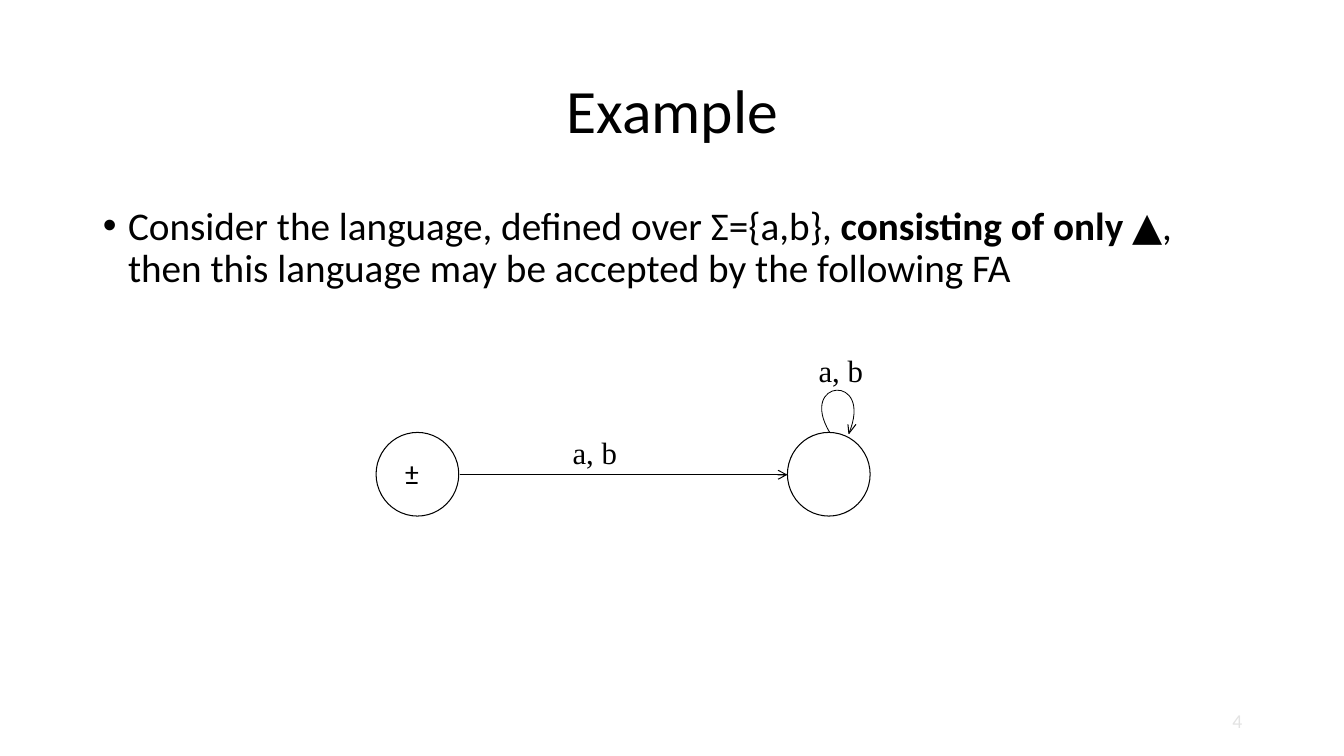
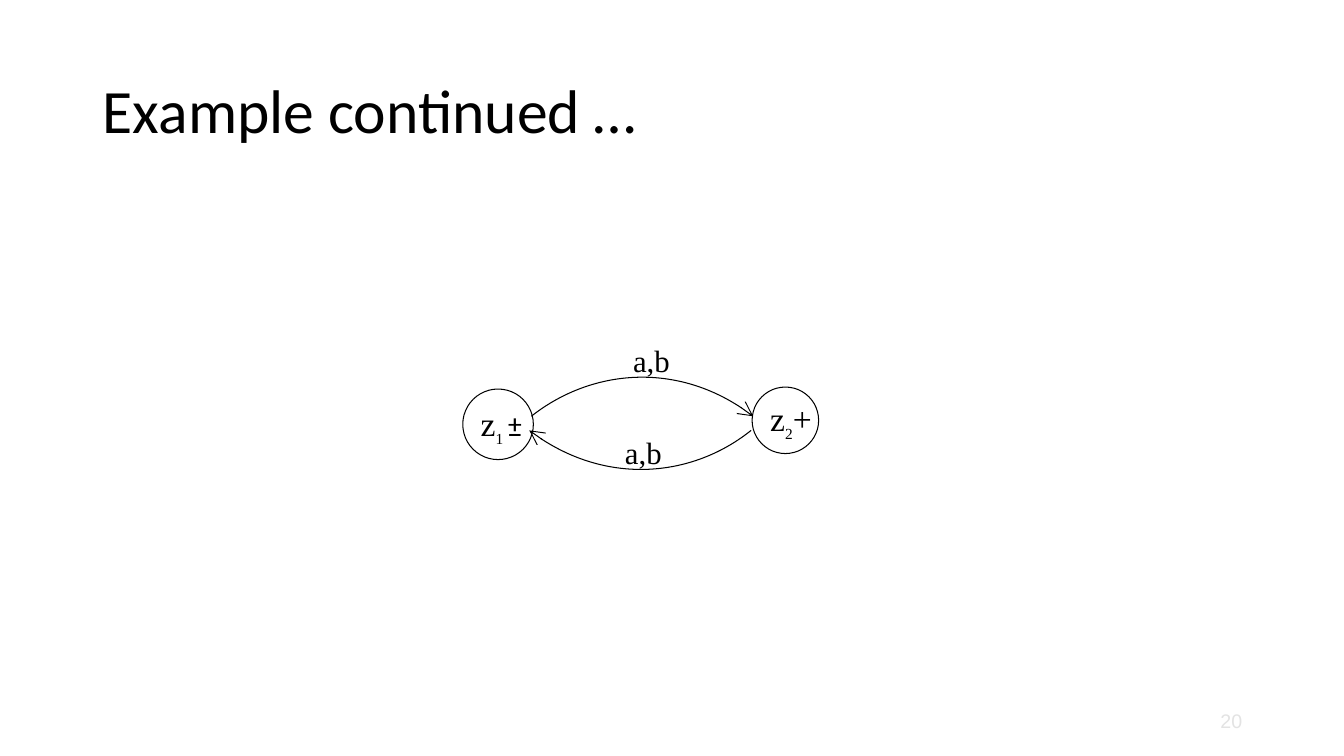
"""Build two slides showing finite automata as state diagrams."""
import dataclasses

import pptx
import pptx.dml.color
import pptx.enum.shapes
import pptx.enum.text
import pptx.oxml.ns
import pptx.oxml.xmlchemy
import pptx.util

PX = 9144
ALIGN = pptx.enum.text.PP_ALIGN
ANCHOR = pptx.enum.text.MSO_ANCHOR


@dataclasses.dataclass(frozen=True)
class Theme:
    ink: str = "000000"
    paper: str = "FFFFFF"
    faint: str = "E3E3E3"
    text_font: str = "Calibri"
    label_font: str = "Times New Roman"
    sign_font: str = "Karla"
    number_font: str = "Arial"
    title_size: int = 44
    body_size: int = 28
    state_size: int = 24
    label_size: int = 22
    index_size: int = 19
    gap_size: int = 13
    number_size: int = 14
    line_width: float = 0.75
    loop_width: float = 0.6
    line_spacing: float = 0.9


THEME = Theme()


def emu(*lengths):
    return [pptx.util.Emu(length * PX) for length in lengths]


def rgb(colour):
    return pptx.dml.color.RGBColor.from_string(colour)


def add_child(parent, tag, **attributes):
    child = pptx.oxml.xmlchemy.OxmlElement(tag)
    for name, value in attributes.items():
        child.set(name, str(value))
    parent.append(child)
    return child


def add_span(para, text, size, font, colour=THEME.ink, bold=False, lowered=False):
    span = para.add_run()
    span.text = text
    span.font.size = pptx.util.Pt(size)
    span.font.name = font
    span.font.bold = bold
    span.font.color.rgb = rgb(colour)
    if lowered:
        span.font._element.set("baseline", "-30000")


def place(shape, left, top, width, height):
    shape.left, shape.top, shape.width, shape.height = emu(left, top, width, height)


def prepare_placeholder(shape, area, anchor, align):
    place(shape, *area)
    frame = shape.text_frame
    frame.auto_size = pptx.enum.text.MSO_AUTO_SIZE.NONE
    frame.vertical_anchor = anchor
    para = frame.paragraphs[0]
    para.alignment = align
    para.line_spacing = THEME.line_spacing
    para.space_before = pptx.util.Pt(0)
    return para


def add_page(deck, layout, title, align, number, number_font):
    page = deck.slides.add_slide(deck.slide_layouts[layout])
    para = prepare_placeholder(page.shapes.title, (92, 40, 1150, 145), ANCHOR.MIDDLE, align)
    add_span(para, title, THEME.title_size, THEME.text_font)
    box = page.shapes.add_textbox(*emu(942, 695, 300, 40))
    box.text_frame.word_wrap = True
    box.text_frame.vertical_anchor = ANCHOR.MIDDLE
    para = box.text_frame.paragraphs[0]
    para.alignment = ALIGN.RIGHT
    add_span(para, number, THEME.number_size, number_font, THEME.faint)
    return page


def add_bullet(page, parts):
    para = prepare_placeholder(page.placeholders[1], (92, 200, 1150, 476), ANCHOR.TOP, ALIGN.LEFT)
    properties = para._p.get_or_add_pPr()
    properties.set("marL", str(25 * PX))
    properties.set("indent", str(-25 * PX))
    add_child(properties, "a:buFont", typeface="Arial")
    add_child(properties, "a:buChar", char="•")
    for text, bold in parts:
        add_span(para, text, THEME.body_size, THEME.text_font, bold=bold)


def add_label(page, area, *spans):
    box = page.shapes.add_textbox(*emu(*area))
    box.text_frame.word_wrap = True
    para = box.text_frame.paragraphs[0]
    for text, size, font, lowered in spans:
        add_span(para, text, size, font, lowered=lowered)


def add_edge_label(page, area, text):
    add_label(page, area, (text, THEME.label_size, THEME.label_font, False))


def draw_line(shape, width=THEME.line_width, head=None):
    shape.line.color.rgb = rgb(THEME.ink)
    shape.line.width = pptx.util.Pt(width)
    if head:
        add_child(shape.line._get_or_add_ln(), "a:tailEnd", type="arrow", w=head, len=head)


def add_state(page, left, top, width, height):
    state = page.shapes.add_shape(pptx.enum.shapes.MSO_SHAPE.OVAL, *emu(left, top, width, height))
    state.shadow.inherit = False
    state.fill.solid()
    state.fill.fore_color.rgb = rgb(THEME.paper)
    draw_line(state)


def add_arrow(page, start, end):
    arrow = page.shapes.add_connector(
        pptx.enum.shapes.MSO_CONNECTOR.STRAIGHT, *emu(*start, *end))
    draw_line(arrow, head="med")
    add_child(arrow._element.spPr, "a:effectLst")


def add_outline(page, points, width=THEME.line_width, head=None):
    builder = page.shapes.build_freeform(*points[0], scale=PX)
    builder.add_line_segments(points[1:], close=False)
    outline = builder.convert_to_shape()
    outline.shadow.inherit = False
    outline.fill.background()
    draw_line(outline, width, head)
    return outline


def add_curve(page, points, width=THEME.line_width, head=None):
    curve = add_outline(page, points, width, head)
    outline = curve._element.spPr.find(".//" + pptx.oxml.ns.qn("a:path"))
    bend = add_child(outline, "a:cubicBezTo")
    for segment in outline.findall(pptx.oxml.ns.qn("a:lnTo")):
        bend.append(segment[0])
        outline.remove(segment)


def build_empty_word_page(deck):
    page = add_page(deck, 1, "Example", ALIGN.CENTER, "4", THEME.text_font)
    add_bullet(page, [
        ("Consider the language, defined over Σ={a,b}, ", False),
        ("consisting of only ▲", True),
        (", then this language may be accepted by the following FA", False),
    ])
    for left in (373, 781):
        add_state(page, left, 429, 82, 83)
    add_arrow(page, (456, 471), (781, 471))
    add_curve(page, [(823, 429), (791, 376), (867, 370), (842, 430)], THEME.loop_width)
    add_outline(page, [(849, 421), (842, 430), (841, 421)])
    for left, top in ((802, 344), (558, 425)):
        add_edge_label(page, (left, top, 98, 67), "a, b")
    add_label(page, (390, 442, 98, 67), ("±", THEME.state_size, THEME.sign_font, False))


def build_two_state_page(deck):
    page = add_page(deck, 5, "Example continued …", ALIGN.LEFT, "20", THEME.number_font)
    add_state(page, 746, 384, 66, 66)
    add_state(page, 459, 386, 70, 70)
    add_curve(page, [(745, 427), (689, 472), (598, 483), (525, 427)], head="lg")
    add_curve(page, [(527, 413), (584, 368), (675, 357), (747, 413)], head="lg")
    for left, top in ((618, 334), (610, 425)):
        add_edge_label(page, (left, top, 101, 41), "a,b")
    name = ("z", THEME.state_size, THEME.label_font, False)
    add_label(page, (467, 395, 80, 45), name,
              ("1", THEME.index_size, THEME.label_font, True),
              (" ", THEME.gap_size, THEME.label_font, True),
              ("±", THEME.state_size, THEME.sign_font, False))
    add_label(page, (754, 390, 80, 45), name,
              ("2", THEME.index_size, THEME.label_font, True),
              ("+", THEME.state_size, THEME.label_font, False))


def main():
    deck = pptx.Presentation()
    deck.slide_width, deck.slide_height = emu(1333, 750)
    build_empty_word_page(deck)
    build_two_state_page(deck)
    deck.save("out.pptx")


if __name__ == "__main__":
    main()
